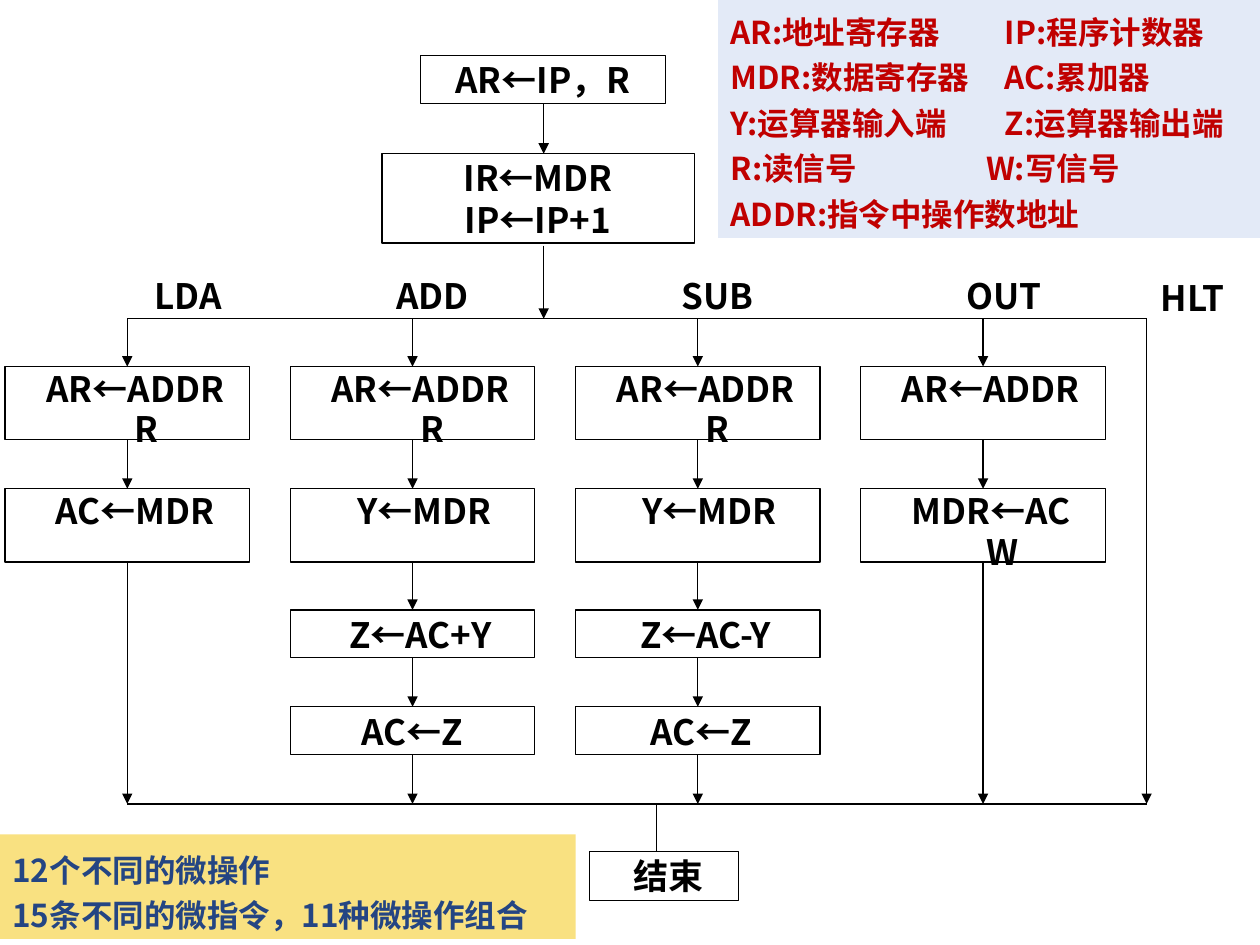
from dataclasses import dataclass

from lxml import etree
from pptx import Presentation
from pptx.dml.color import RGBColor
from pptx.enum.shapes import MSO_CONNECTOR, MSO_SHAPE
from pptx.enum.text import MSO_ANCHOR, PP_ALIGN
from pptx.oxml.ns import qn
from pptx.util import Pt

RECT = MSO_SHAPE.RECTANGLE
STRAIGHT = MSO_CONNECTOR.STRAIGHT
TOP = MSO_ANCHOR.TOP
LEFT, CENTER = PP_ALIGN.LEFT, PP_ALIGN.CENTER


@dataclass(frozen=True)
class Theme:
    font: str = "Noto Sans CJK SC"
    ink: str = "000000"
    paper: str = "FFFFFF"
    legend_fill: str = "E3EAF7"
    legend_text: str = "C00000"
    note_fill: str = "F9E181"
    note_text: str = "244583"
    flow_size: float = 20
    panel_size: float = 18
    flow_leading: float = 24
    pair_leading: float = 23.4
    panel_leading: float = 26
    rule: float = 0.75


THEME = Theme()

# Flow grid
COLUMN_LEFT, COLUMN_STEP, BOX_WIDTH = 2.9, 163, 139.7
ROW_TOPS = (209.5, 279.3, 348.5, 403.9)
ROW_HEIGHTS = (41.8, 41.8, 27.4, 27.4)
FORK_Y, JOIN_Y = 182.2, 459.4
HALT_X = 655.2

# Each step is a list of (text, indent); the indent moves the centred line
ADDRESS_READ = [("AR←ADDR", 9), ("R", 22.5)]
INSTRUCTIONS = [
    ("LDA", 72.7, [ADDRESS_READ, [("AC←MDR", 9)]]),
    ("ADD", 212.4, [ADDRESS_READ, [("Y←MDR", 13.5)],
                    [("Z←AC+Y", 9)], [("AC←Z", 0)]]),
    ("SUB", 375.1, [ADDRESS_READ, [("Y←MDR", 13.5)],
                    [("Z←AC-Y", 9)], [("AC←Z", 4.5)]]),
    ("OUT", 538.6, [[("AR←ADDR", 9)], [("MDR←AC", 9), ("W", 22.5)]]),
]

# Each legend row is (text, tab stop of its second entry)
LEGEND = [
    ("AR:地址寄存器\tIP:程序计数器", 156.8),
    ("MDR:数据寄存器\tAC:累加器", 156.8),
    ("Y:运算器输入端\tZ:运算器输出端", 156.8),
    ("R:读信号\tW:写信号", 146),
    ("ADDR:指令中操作数地址", None),
]
NOTES = [("12个不同的微操作", None), ("15条不同的微指令，11种微操作组合", None)]


def rgb(value):
    return RGBColor.from_string(value)


def add_line_of_text(paragraph, text, size, color, align, leading):
    paragraph.alignment = align
    paragraph.line_spacing = Pt(leading)
    run = paragraph.add_run()
    run.text = text
    run.font.name = THEME.font
    run.font.size = Pt(size)
    run.font.bold = True
    run.font.color.rgb = rgb(color)
    east_asian = etree.SubElement(run.font._element, qn("a:ea"))
    east_asian.set("typeface", THEME.font)


def paragraphs(frame, count):
    return [frame.paragraphs[0]] + [frame.add_paragraph() for _ in range(count - 1)]


def set_frame(frame, side, top):
    frame.word_wrap = True
    frame.vertical_anchor = TOP
    frame.margin_left = frame.margin_right = Pt(side)
    frame.margin_top, frame.margin_bottom = Pt(top), Pt(0)


def add_rect(slide, box, fill, line=None):
    rect = slide.shapes.add_shape(RECT, *map(Pt, box))
    rect.shadow.inherit = False
    rect.fill.solid()
    rect.fill.fore_color.rgb = rgb(fill)
    if line:
        rect.line.color.rgb = rgb(line)
        rect.line.width = Pt(THEME.rule)
    else:
        rect.line.fill.background()
    return rect


def write_step(frame, lines, leading=THEME.flow_leading, top=1.8):
    set_frame(frame, 0, top)
    for paragraph, (text, indent) in zip(paragraphs(frame, len(lines)), lines):
        paragraph._p.get_or_add_pPr().set("marL", str(Pt(indent)))
        add_line_of_text(paragraph, text, THEME.flow_size, THEME.ink, CENTER, leading)


def add_step(slide, box, lines, **spacing):
    step = add_rect(slide, box, THEME.paper, THEME.ink)
    write_step(step.text_frame, lines, **spacing)


def add_label(slide, box, text):
    label = slide.shapes.add_textbox(*map(Pt, box))
    write_step(label.text_frame, [(text, 0)])


def add_rule(slide, start, end, arrow=False):
    rule = slide.shapes.add_connector(STRAIGHT, *map(Pt, start + end))
    rule.line.color.rgb = rgb(THEME.ink)
    rule.line.width = Pt(THEME.rule)
    if arrow:
        etree.SubElement(rule.line._get_or_add_ln(), qn("a:tailEnd"), type="triangle")
    etree.SubElement(rule._element.spPr, qn("a:effectLst"))


def add_down_arrow(slide, x, top, bottom):
    add_rule(slide, (x, top), (x, bottom), arrow=True)


def add_fetch(slide, box):
    """Shared fetch steps leading down to the fork."""
    left, top, width, height = box
    add_step(slide, (left + 22.3, top, BOX_WIDTH, 27.6), [("AR←IP，R", 0)])
    add_step(slide, (left, top + 56.1, width, 51.1), [("IR←MDR", 0), ("IP←IP+1", 0)])
    center = left + 92.5
    add_down_arrow(slide, center, top + 27.6, top + 56.1)
    add_down_arrow(slide, center, top + 108.7, top + height)


def add_branch(slide, left, steps):
    """One instruction's micro-operations from the fork to the join."""
    center = left + BOX_WIDTH / 2
    previous_bottom = FORK_Y
    for row, (lines, top, height) in enumerate(zip(steps, ROW_TOPS, ROW_HEIGHTS)):
        spacing = {"leading": THEME.pair_leading, "top": 0.8} if row < 2 else {}
        add_step(slide, (left, top, BOX_WIDTH, height), lines, **spacing)
        add_down_arrow(slide, center, previous_bottom, top)
        previous_bottom = top + height
    add_down_arrow(slide, center, previous_bottom, JOIN_Y)


def add_execution(slide):
    """Fork, instruction branches, join and end."""
    for column, (name, label_left, steps) in enumerate(INSTRUCTIONS):
        add_branch(slide, COLUMN_LEFT + column * COLUMN_STEP, steps)
        add_label(slide, (label_left, 154.8, 69.8, 28), name)
    add_label(slide, (643, 156.2, 77, 26), "HLT")
    add_down_arrow(slide, HALT_X, FORK_Y, JOIN_Y)
    first_center = COLUMN_LEFT + BOX_WIDTH / 2
    for y in (FORK_Y, JOIN_Y):
        add_rule(slide, (first_center, y), (HALT_X, y))
    add_rule(slide, (375.1, JOIN_Y), (375.1, 486.7))
    add_step(slide, (337, 486.7, 85, 28), [("结束", 4.5)])


def add_panel(slide, box, rows, fill, color):
    """Filled panel of text rows, with an optional tab stop per row."""
    frame = add_rect(slide, box, fill).text_frame
    set_frame(frame, 7.2, 5)
    for paragraph, (text, stop) in zip(paragraphs(frame, len(rows)), rows):
        if stop:
            tabs = etree.SubElement(paragraph._p.get_or_add_pPr(), qn("a:tabLst"))
            etree.SubElement(tabs, qn("a:tab"), pos=str(Pt(stop)), algn="l")
        add_line_of_text(paragraph, text, THEME.panel_size, color, LEFT,
                         THEME.panel_leading)


def main():
    deck = Presentation()
    deck.slide_width, deck.slide_height = Pt(720), Pt(540)
    slide = deck.slides.add_slide(deck.slide_layouts[6])
    add_execution(slide)
    add_fetch(slide, (218.2, 31.7, 178.6, FORK_Y - 31.7))
    add_panel(slide, (410.4, -2.2, 309.6, 138.2), LEGEND,
              THEME.legend_fill, THEME.legend_text)
    add_panel(slide, (0, 476.8, 329, 59.8), NOTES, THEME.note_fill, THEME.note_text)
    deck.save("out.pptx")


if __name__ == "__main__":
    main()
